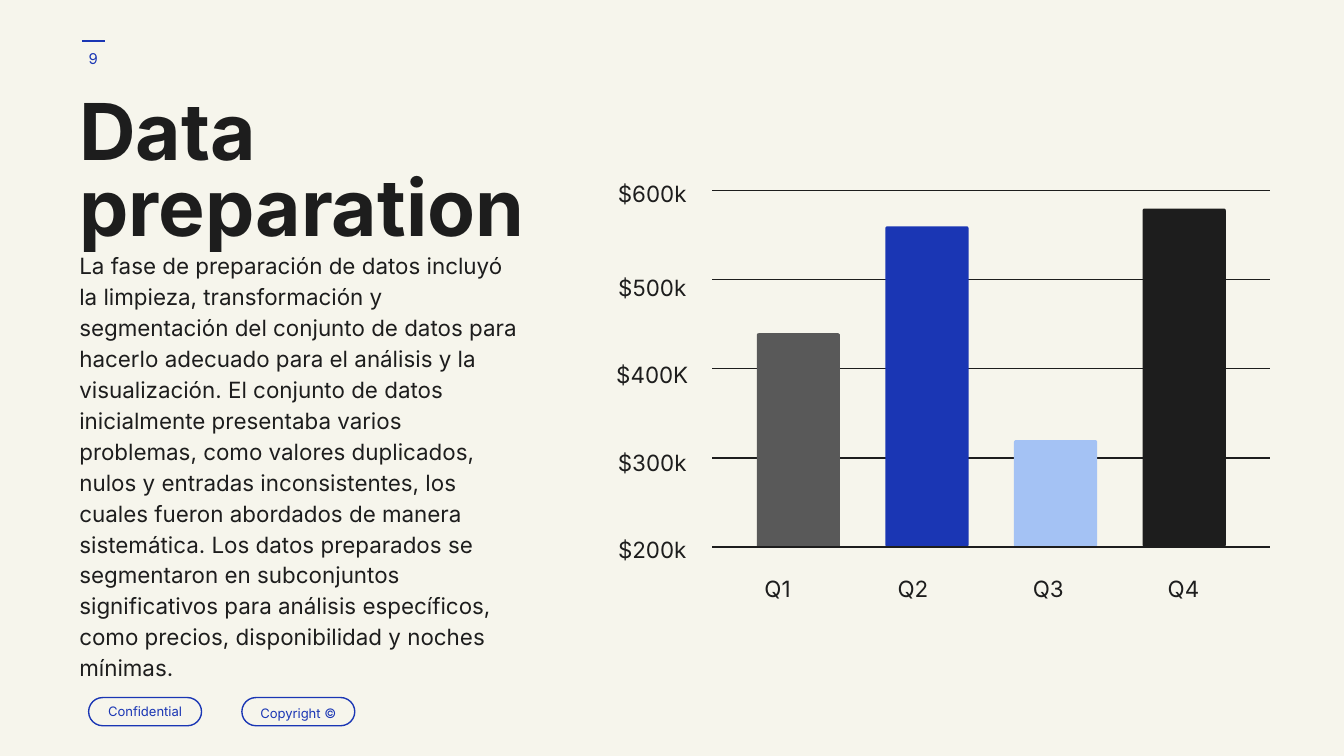
from lxml import etree
from pptx import Presentation
from pptx.dml.color import RGBColor
from pptx.enum.shapes import MSO_CONNECTOR, MSO_SHAPE
from pptx.enum.text import MSO_ANCHOR, MSO_AUTO_SIZE, PP_ALIGN
from pptx.oxml.ns import qn
from pptx.util import Pt

STRAIGHT = MSO_CONNECTOR.STRAIGHT
ROUNDED = MSO_SHAPE.ROUNDED_RECTANGLE
TOP, MIDDLE = MSO_ANCHOR.TOP, MSO_ANCHOR.MIDDLE
LEFT, CENTER = PP_ALIGN.LEFT, PP_ALIGN.CENTER
GROW = MSO_AUTO_SIZE.SHAPE_TO_FIT_TEXT

FONT = "Inter"
CREAM, INK, BLUE = "F6F5EC", "1D1D1D", "1A36B4"
GREY, LIGHT_BLUE = "595959", "A4C2F4"

# Content
PAGE_NUMBER = "9"
TITLE = ["Data", "preparation"]
BODY = (
    "La fase de preparación de datos incluyó la limpieza, transformación y "
    "segmentación del conjunto de datos para hacerlo adecuado para el análisis "
    "y la visualización. El conjunto de datos inicialmente presentaba varios "
    "problemas, como valores duplicados, nulos y entradas inconsistentes, los "
    "cuales fueron abordados de manera sistemática. Los datos preparados se "
    "segmentaron en subconjuntos significativos para análisis específicos, "
    "como precios, disponibilidad y noches mínimas."
)
BADGES = [("Confidential", 47.5, 1.0), ("Copyright ©", 129.6, 1.15)]  # text, left, spacing
SCALE = [  # value in thousands, label, top of label
    (600, "$600k", 87.1),
    (500, "$500k", 137.5),
    (400, "$400K", 184.3),
    (300, "$300k", 231.1),
    (200, "$200k", 277.9),
]
QUARTERS = [("Q1", 440, GREY), ("Q2", 560, BLUE), ("Q3", 320, LIGHT_BLUE), ("Q4", 580, INK)]

# Chart geometry
BASE_VALUE, BASE_Y, POINTS_PER_UNIT = 200, 293, 0.477
GRID_LEFT, GRID_RIGHT = 381.6, 680.4
BAR_LEFT, BAR_STEP, BAR_WIDTH = 405.4, 68.9, 44.6
QUARTER_LEFT, QUARTER_STEP = 388.1, 72.5


def color(hex_string):
    return RGBColor.from_string(hex_string)


def value_y(value):
    return BASE_Y - (value - BASE_VALUE) * POINTS_PER_UNIT


def write(shape, lines, size, ink, align=LEFT, anchor=TOP, spacing=1.0, bold=False):
    frame = shape.text_frame
    frame.word_wrap = True
    frame.vertical_anchor = anchor
    frame.margin_left = frame.margin_right = Pt(7.2)
    frame.margin_top = frame.margin_bottom = Pt(7.2)
    for index, line in enumerate(lines):
        paragraph = frame.add_paragraph() if index else frame.paragraphs[0]
        paragraph.text = line
        paragraph.alignment = align
        paragraph.line_spacing = spacing
        paragraph.font.name = FONT
        paragraph.font.size = Pt(size)
        paragraph.font.bold = bold
        paragraph.font.color.rgb = color(ink)


def add_text(slide, box, lines, size, ink, **style):
    shape = slide.shapes.add_textbox(*map(Pt, box))
    write(shape, lines, size, ink, **style)
    return shape


def add_label(slide, left, top, width, text):
    label = add_text(slide, (left, top, width, 28.8), [text], 12, INK, align=CENTER, spacing=1.15)
    label.text_frame.auto_size = GROW


def add_rule(slide, left, right, y, ink):
    rule = slide.shapes.add_connector(STRAIGHT, Pt(left), Pt(y), Pt(right), Pt(y))
    rule.line.color.rgb = color(ink)
    rule.line.width = Pt(0.75)
    etree.SubElement(rule._element.spPr, qn("a:effectLst"))


def add_rounded(slide, box, rounding):
    shape = slide.shapes.add_shape(ROUNDED, *map(Pt, box))
    shape.adjustments[0] = rounding
    shape.shadow.inherit = False
    return shape


def main():
    presentation = Presentation()
    presentation.slide_width, presentation.slide_height = Pt(720), Pt(405)
    slide = presentation.slides.add_slide(presentation.slide_layouts[6])
    slide.background.fill.solid()
    slide.background.fill.fore_color.rgb = color(CREAM)

    # Page number under its short rule
    add_rule(slide, 43.9, 56.2, 22, BLUE)
    add_text(slide, (33.1, 15.8, 33.8, 31), [PAGE_NUMBER], 8, BLUE, align=CENTER, anchor=MIDDLE)

    # Footer badges
    for text, left, spacing in BADGES:
        badge = add_rounded(slide, (left, 373.7, 60.5, 15.1), 0.5)
        badge.fill.background()
        badge.line.color.rgb = color(BLUE)
        badge.line.width = Pt(0.75)
        write(badge, [text], 7, BLUE, align=CENTER, anchor=MIDDLE, spacing=spacing)

    # Title and body
    add_text(slide, (35.4, 46.8, 267.8, 108), TITLE, 42, INK, spacing=0.8, bold=True)
    add_text(slide, (35.4, 126, 252.7, 163.4), [BODY], 12, INK, spacing=1.15)

    # Value scale, with grid lines behind the bars
    for value, text, top in SCALE:
        add_label(slide, 321.8, top, 55.4, text)
        if value > BASE_VALUE:
            add_rule(slide, GRID_LEFT, GRID_RIGHT, value_y(value), INK)

    # Bars and quarter labels
    for index, (quarter, value, fill) in enumerate(QUARTERS):
        top = value_y(value)
        box = (BAR_LEFT + index * BAR_STEP, top, BAR_WIDTH, BASE_Y - top)
        bar = add_rounded(slide, box, 0.023)
        bar.fill.solid()
        bar.fill.fore_color.rgb = color(fill)
        bar.line.fill.background()
        add_label(slide, QUARTER_LEFT + index * QUARTER_STEP, 298.8, 56.9, quarter)

    # Baseline in front of the bars
    add_rule(slide, GRID_LEFT, GRID_RIGHT, BASE_Y, INK)

    presentation.save("out.pptx")


if __name__ == "__main__":
    main()
